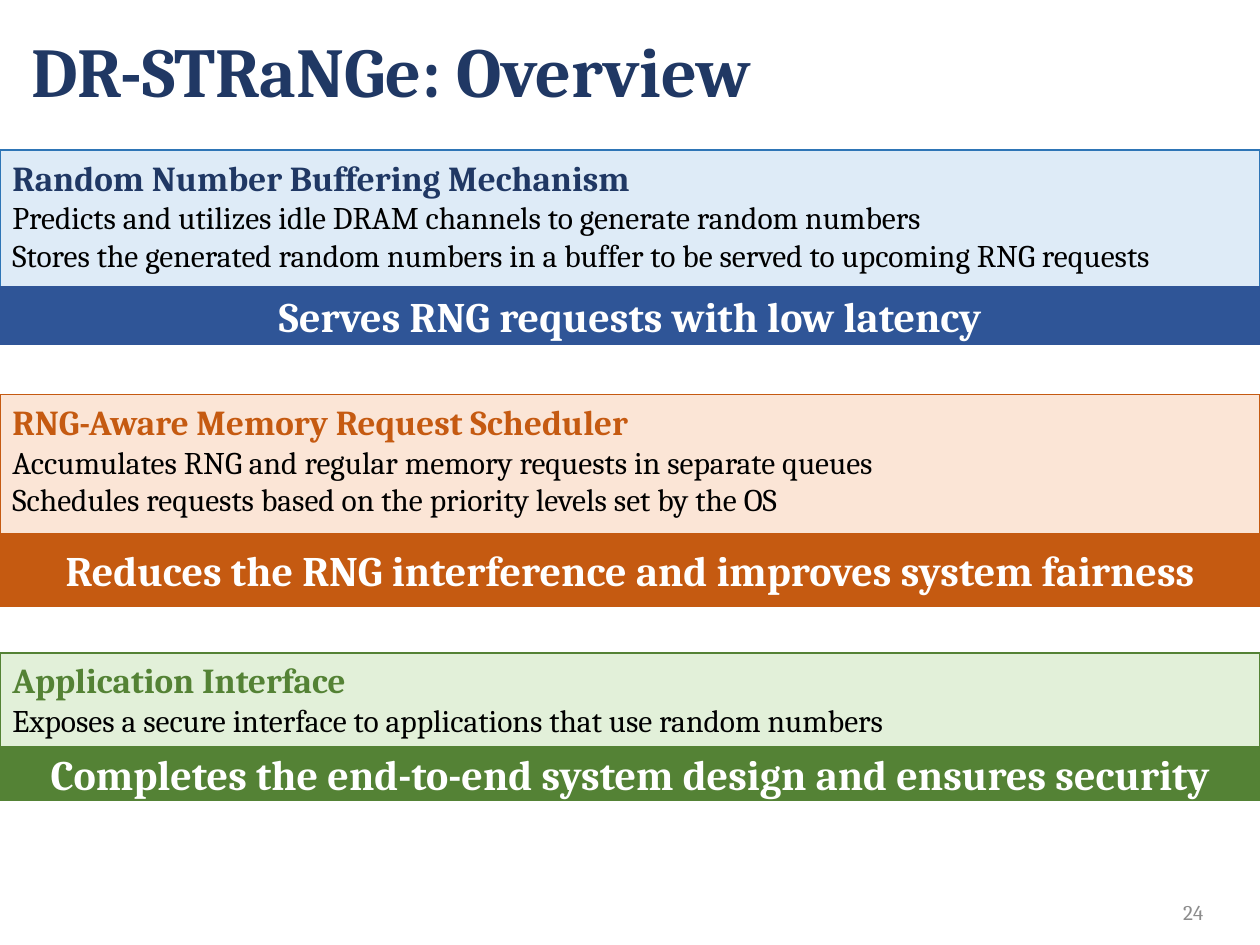
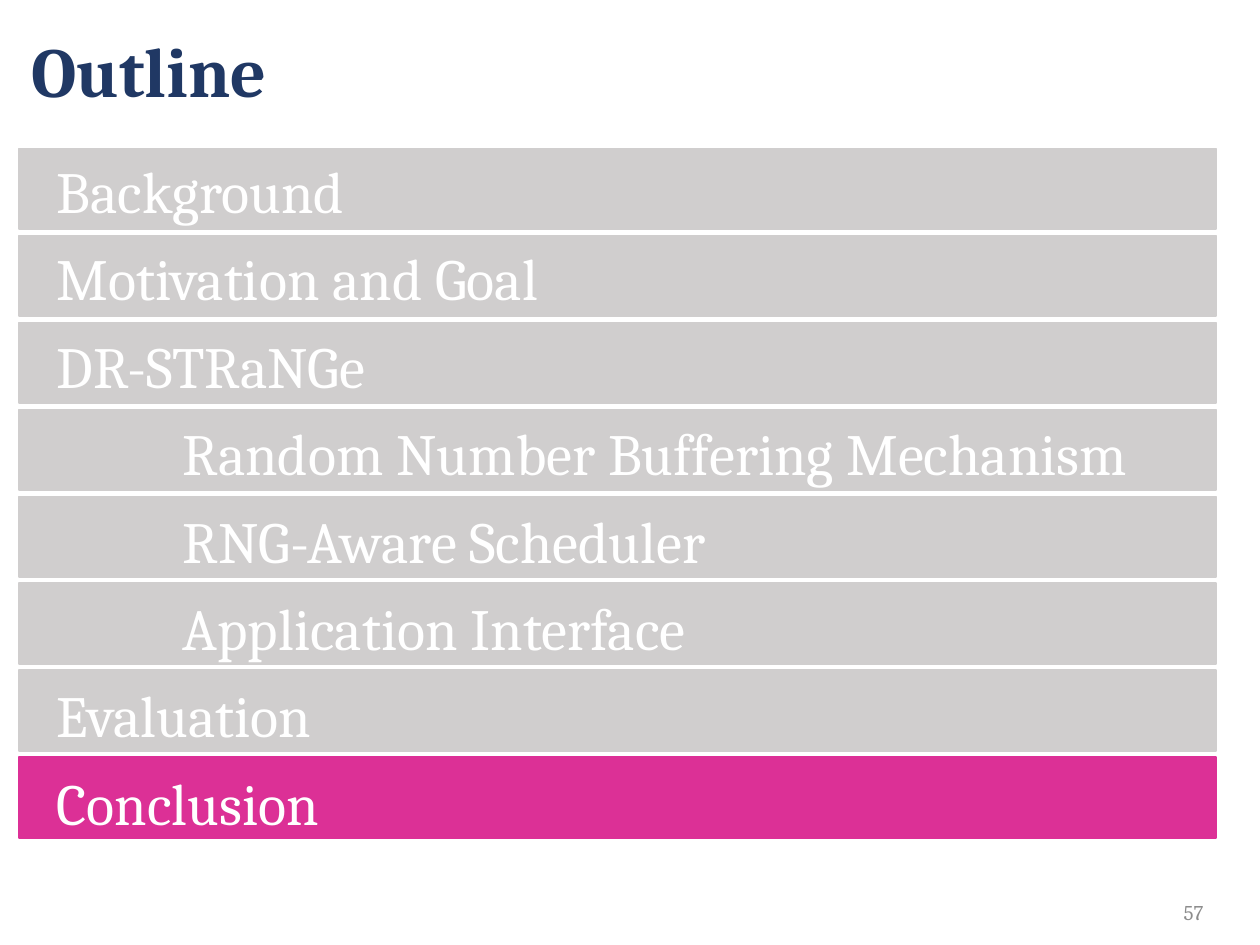
from dataclasses import dataclass

from pptx import Presentation
from pptx.dml.color import RGBColor
from pptx.enum.shapes import MSO_SHAPE
from pptx.enum.text import MSO_ANCHOR, MSO_AUTO_SIZE, PP_ALIGN
from pptx.oxml.ns import qn
from pptx.util import Inches, Pt

RECT = MSO_SHAPE.RECTANGLE
TOP, MIDDLE = MSO_ANCHOR.TOP, MSO_ANCHOR.MIDDLE
LEFT, CENTER, RIGHT = PP_ALIGN.LEFT, PP_ALIGN.CENTER, PP_ALIGN.RIGHT
NO_FIT = MSO_AUTO_SIZE.NONE


@dataclass(frozen=True)
class Theme:
    """Colours, font and type sizes of the deck."""
    font: str = "Cambria"
    navy: str = "203864"
    blue: str = "2F5597"
    edge: str = "2E75B6"
    sky: str = "DEEBF7"
    rust: str = "C55A11"
    peach: str = "FBE5D6"
    green: str = "548235"
    mint: str = "E2F0D9"
    pink: str = "DC3096"
    gray: str = "D0CECE"
    dim: str = "8C8C8C"
    black: str = "000000"
    white: str = "FFFFFF"
    title: float = 40
    item: float = 33.3
    claim: float = 24
    head: float = 20
    text: float = 18
    page: float = 12


T = Theme()

PARTS = [
    dict(top=1.19, high=1.49, split=1.09, band=0.45,
         fill=T.sky, edge=T.edge, ink=T.navy, tone=T.blue,
         head="Random Number Buffering Mechanism",
         lines=["Predicts and utilizes idle DRAM channels to generate random numbers",
                "Stores the generated random numbers in a buffer to be served to upcoming RNG requests"],
         claim="Serves RNG requests with low latency"),
    dict(top=3.13, high=1.11, split=1.11, band=0.57,
         fill=T.peach, edge=T.rust, ink=T.rust, tone=T.rust,
         head="RNG-Aware Memory Request Scheduler",
         lines=["Accumulates RNG and regular memory requests in separate queues",
                "Schedules requests based on the priority levels set by the OS"],
         claim="Reduces the RNG interference and improves system fairness"),
    dict(top=5.18, high=0.78, split=0.75, band=0.42,
         fill=T.mint, edge=T.green, ink=T.green, tone=T.green,
         head="Application Interface",
         lines=["Exposes a secure interface to applications that use random numbers"],
         claim="Completes the end-to-end system design and ensures security"),
]

TOPICS = [
    ("Background", 0),
    ("Motivation and Goal", 0),
    ("DR-STRaNGe", 0),
    ("Random Number Buffering Mechanism", 1),
    ("RNG-Aware Scheduler", 1),
    ("Application Interface", 1),
    ("Evaluation", 0),
    ("Conclusion", 0),
]


def write(frame, text, size, color, bold=False, align=LEFT, anchor=TOP,
          new=False, before=0, spacing=1.0, indent=None):
    """Write one formatted paragraph into a text frame."""
    frame.word_wrap = True
    frame.auto_size = NO_FIT
    frame.vertical_anchor = anchor
    par = frame.add_paragraph() if new else frame.paragraphs[0]
    if indent is not None:
        props = par._p.get_or_add_pPr()
        props.set("marL", str(Inches(indent)))
        props.set("indent", "0")
        props.append(props.makeelement(qn("a:buNone"), {}))
    par.alignment = align
    par.space_before = Pt(before)
    par.line_spacing = spacing
    run = par.add_run()
    run.text = text
    run.font.name = T.font
    run.font.size = Pt(size)
    run.font.bold = bold
    run.font.color.rgb = RGBColor.from_string(color)


def place(shape, left, top, width, height):
    """Move and size a shape in inches."""
    shape.left, shape.top = Inches(left), Inches(top)
    shape.width, shape.height = Inches(width), Inches(height)


def block(slide, box, fill, edge):
    """Add a flat rectangle and return its text frame."""
    shape = slide.shapes.add_shape(RECT, *map(Inches, box))
    shape.shadow.inherit = False
    shape.fill.solid()
    shape.fill.fore_color.rgb = RGBColor.from_string(fill)
    shape.line.color.rgb = RGBColor.from_string(edge)
    shape.line.width = Pt(1)
    return shape.text_frame


def start(deck, layout, title, page):
    """Add a slide with its title and page number."""
    slide = deck.slides.add_slide(deck.slide_layouts.get_by_name(layout))
    place(slide.shapes.title, 0.15, 0, 9.73, 1.19)
    write(slide.shapes.title.text_frame, title, T.title, T.navy,
          bold=True, anchor=MIDDLE, spacing=0.9)
    box = slide.shapes.add_textbox(*map(Inches, (9.18, 7.13, 0.47, 0.22)))
    write(box.text_frame, page, T.page, T.dim, align=RIGHT, anchor=MIDDLE)
    return slide


def panel(slide, box, part):
    """Draw a tinted panel with a heading and its points."""
    frame = block(slide, box, part["fill"], part["edge"])
    write(frame, part["head"], T.head, part["ink"], bold=True)
    for line in part["lines"]:
        write(frame, line, T.text, T.black, new=True)


def band(slide, box, part):
    """Draw the solid band that states the benefit."""
    frame = block(slide, box, part["tone"], part["tone"])
    write(frame, part["claim"], T.claim, T.white, bold=True,
          align=CENTER, anchor=MIDDLE)


def overview(deck):
    """Build the slide of three panels and bands."""
    slide = start(deck, "Title Only", "DR-STRaNGe: Overview", "24")
    for part in PARTS:
        top = part["top"]
        panel(slide, (0, top, 10, part["high"]), part)
        band(slide, (0, top + part["split"], 10, part["band"]), part)


def bars(slide, left, top, active):
    """Draw one bar per topic and stress the active one."""
    for i in range(len(TOPICS)):
        color = T.pink if i == active else T.gray
        block(slide, (left, top + i * 0.69, 9.5, 0.64), color, color)


def outline(deck, active):
    """Build the outline slide with a list over its bars."""
    slide = start(deck, "Title and Content", "Outline", "57")
    bars(slide, 0.15, 1.18, active)
    body = slide.placeholders[1]
    place(body, 0.35, 1.18, 9.3, 5.6)
    for i, (text, level) in enumerate(TOPICS):
        write(body.text_frame, text, T.item, T.white, new=i > 0,
              before=10 if i else 0, indent=level)
    slide.shapes.element.append(body.element)


def main():
    """Build and save the deck."""
    deck = Presentation()
    deck.slide_width, deck.slide_height = Inches(10), Inches(7.5)
    overview(deck)
    outline(deck, len(TOPICS) - 1)
    deck.save("out.pptx")


if __name__ == "__main__":
    main()
